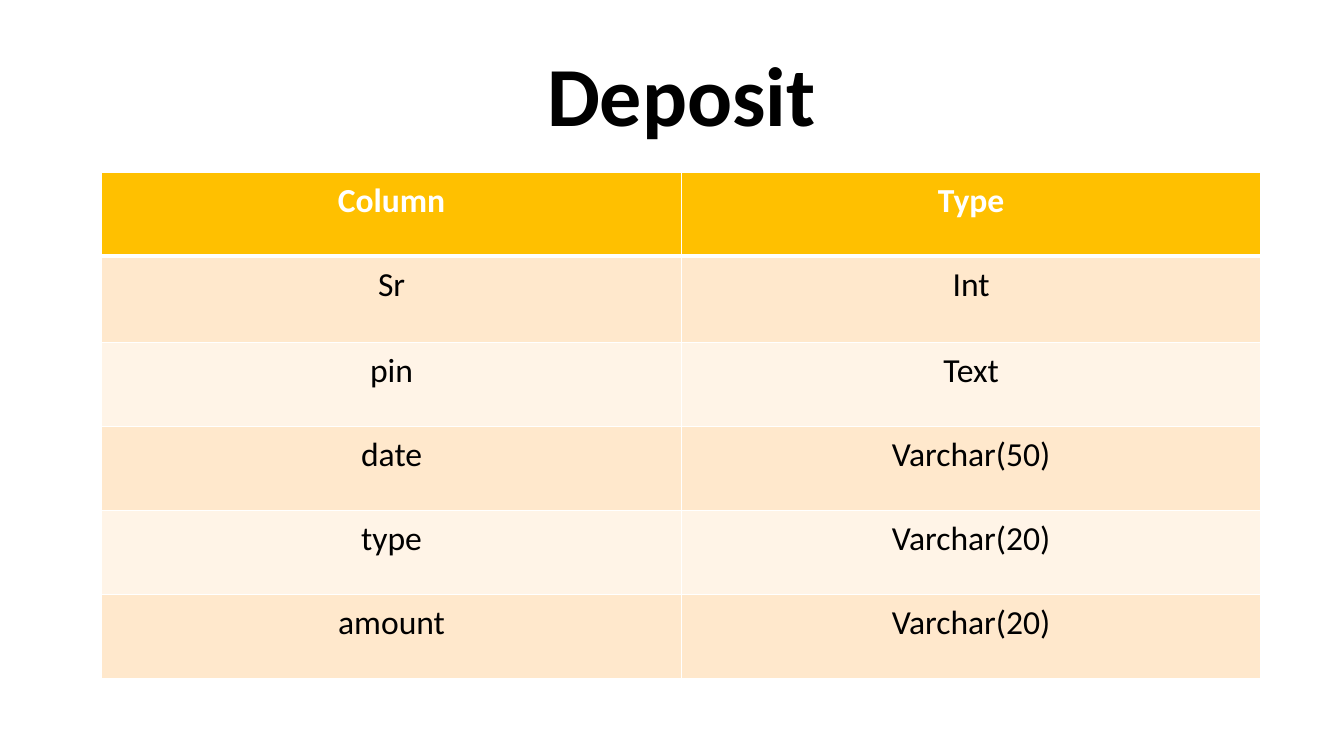
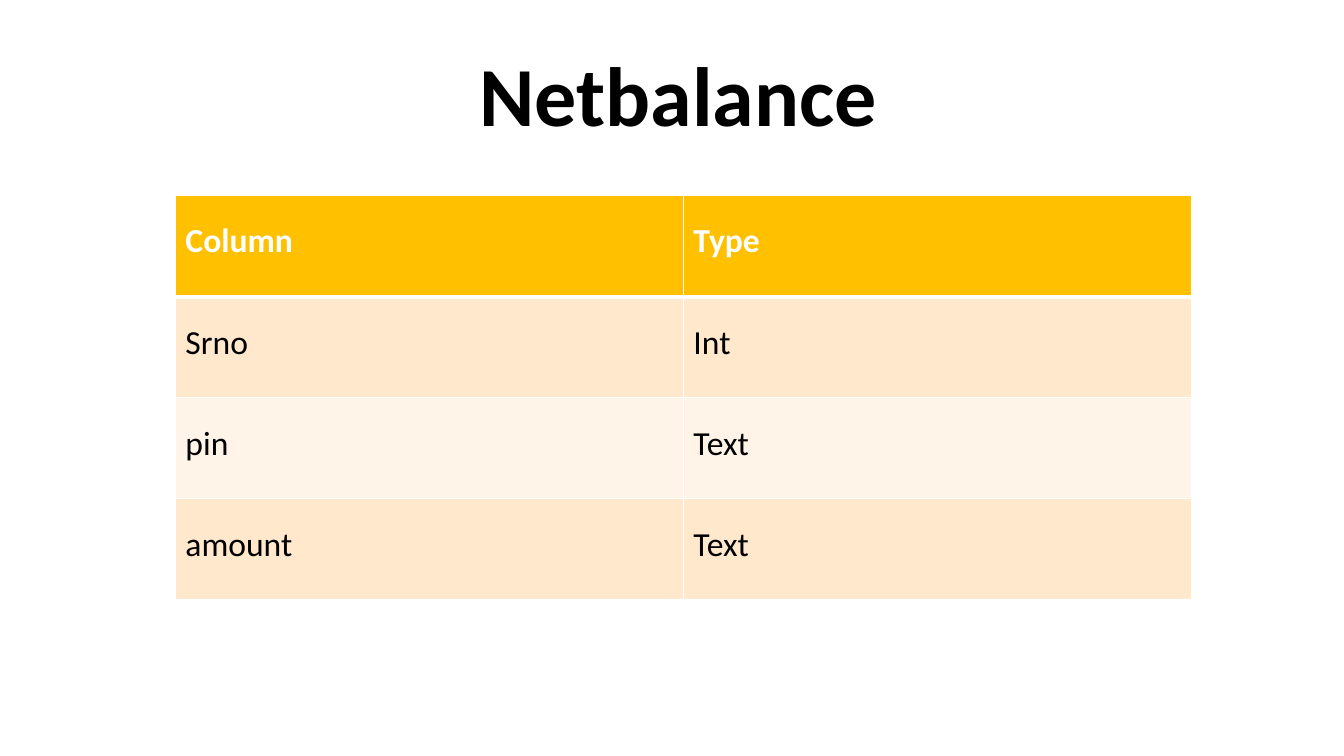
from lxml import etree
from pptx import Presentation
from pptx.dml.color import RGBColor
from pptx.enum import text
from pptx.oxml import ns
from pptx.util import Pt

BLACK = RGBColor(0x00, 0x00, 0x00)
WHITE = RGBColor(0xFF, 0xFF, 0xFF)
GOLD = RGBColor(0xFF, 0xC0, 0x00)
BAND_DARK = RGBColor(0xFF, 0xE8, 0xCC)
BAND_LIGHT = RGBColor(0xFF, 0xF4, 0xE7)

FONT = "Calibri"
TITLE_ONLY = 5
CENTER = text.PP_ALIGN.CENTER
LEFT = text.PP_ALIGN.LEFT
THIN, THICK = 1, 3

DEPOSIT = [
    ("Column", "Type"),
    ("Sr", "Int"),
    ("pin", "Text"),
    ("date", "Varchar(50)"),
    ("type", "Varchar(20)"),
    ("amount", "Varchar(20)"),
]
NETBALANCE = [
    ("Column", "Type"),
    ("Srno", "Int"),
    ("pin", "Text"),
    ("amount", "Text"),
]


def write(tf, content, size, color, bold, paragraph_format):
    p = tf.paragraphs[0]
    for name, value in paragraph_format.items():
        setattr(p, name, value)
    r = p.add_run()
    r.text = content
    for name, value in dict(name=FONT, size=Pt(size), bold=bold).items():
        setattr(r.font, name, value)
    r.font.color.rgb = color


def add_titled_slide(prs, title, left):
    s = prs.slides.add_slide(prs.slide_layouts[TITLE_ONLY])
    sp = s.shapes.title
    box = dict(left=left, top=18.72, width=828, height=104.4)
    for name, value in box.items():
        setattr(sp, name, Pt(value))
    tf = sp.text_frame
    tf.word_wrap = True
    tf.auto_size = text.MSO_AUTO_SIZE.NONE
    tf.vertical_anchor = text.MSO_ANCHOR.MIDDLE
    write(tf, title, 60, BLACK, True, dict(alignment=CENTER, line_spacing=0.9))
    return s


def set_borders(cell, top, bottom):
    """Draw white cell borders; call before the fill, which must follow them."""
    tc_pr = cell._tc.get_or_add_tcPr()
    widths = dict(lnL=THIN, lnR=THIN, lnT=top, lnB=bottom)
    for tag, width in widths.items():
        ln = etree.SubElement(tc_pr, ns.qn("a:" + tag), w=str(Pt(width)))
        fill = etree.SubElement(ln, ns.qn("a:solidFill"))
        etree.SubElement(fill, ns.qn("a:srgbClr"), val=str(WHITE))


def add_column_table(s, rows, left, top, width, row_heights, paragraph_format):
    frame = s.shapes.add_table(len(rows), len(rows[0]), Pt(left), Pt(top),
                               Pt(width), Pt(sum(row_heights)))
    table = frame.table
    for i, (values, height) in enumerate(zip(rows, row_heights)):
        table.rows[i].height = Pt(height)
        header = i == 0
        band = GOLD if header else BAND_DARK if i % 2 else BAND_LIGHT
        for j, value in enumerate(values):
            cell = table.cell(i, j)
            set_borders(cell, THICK if i == 1 else THIN,
                        THICK if header else THIN)
            cell.fill.solid()
            cell.fill.fore_color.rgb = band
            write(cell.text_frame, value, 24, WHITE if header else BLACK,
                  header, paragraph_format)


def main():
    prs = Presentation()
    prs.slide_width, prs.slide_height = Pt(960), Pt(540)

    s = add_titled_slide(prs, "Deposit", 72.72)
    add_column_table(s, DEPOSIT, 72.72, 123.12, 828, [59.9, 61.9] + [59.9] * 4,
                     dict(alignment=CENTER, line_spacing=1.07))

    s = add_titled_slide(prs, "Netbalance", 70.56)
    add_column_table(s, NETBALANCE, 125.28, 139.68, 725.76, [72.2] * 4,
                     dict(alignment=LEFT, line_spacing=1.5, space_after=Pt(8)))

    prs.save("out.pptx")


if __name__ == "__main__":
    main()
